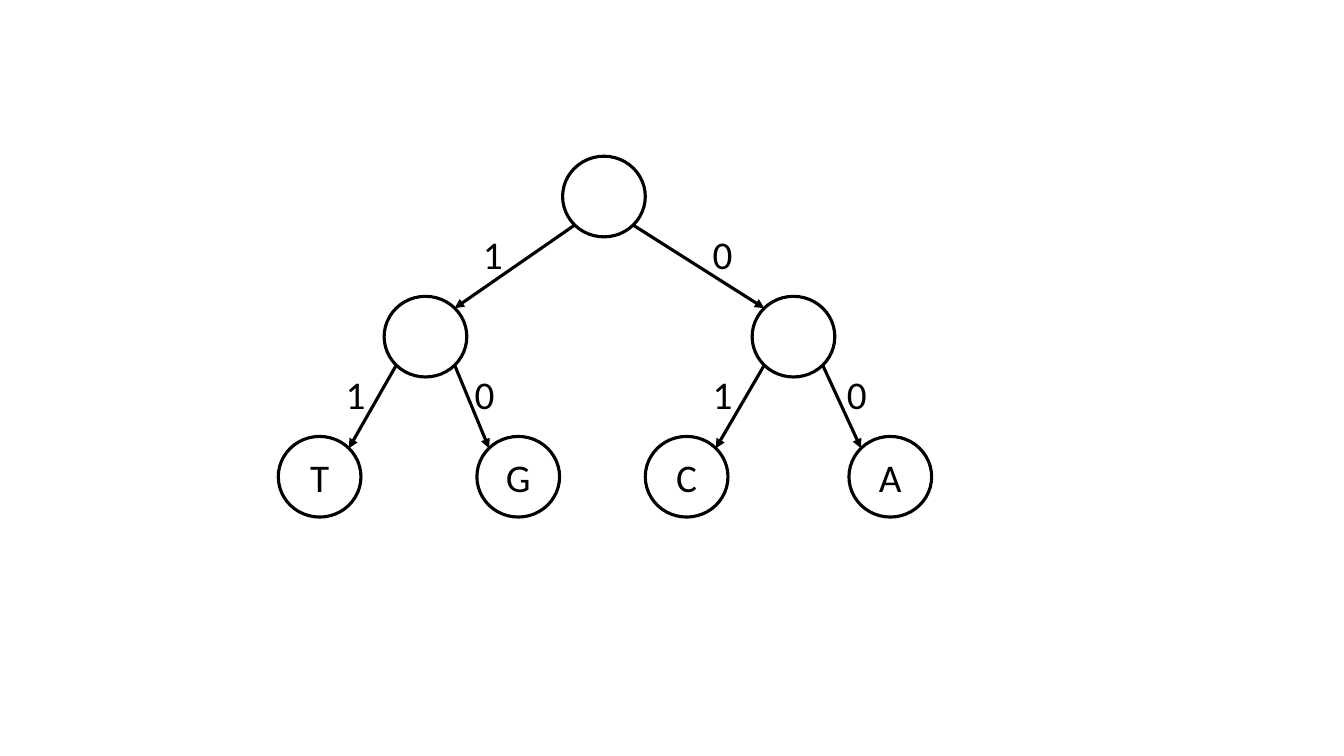
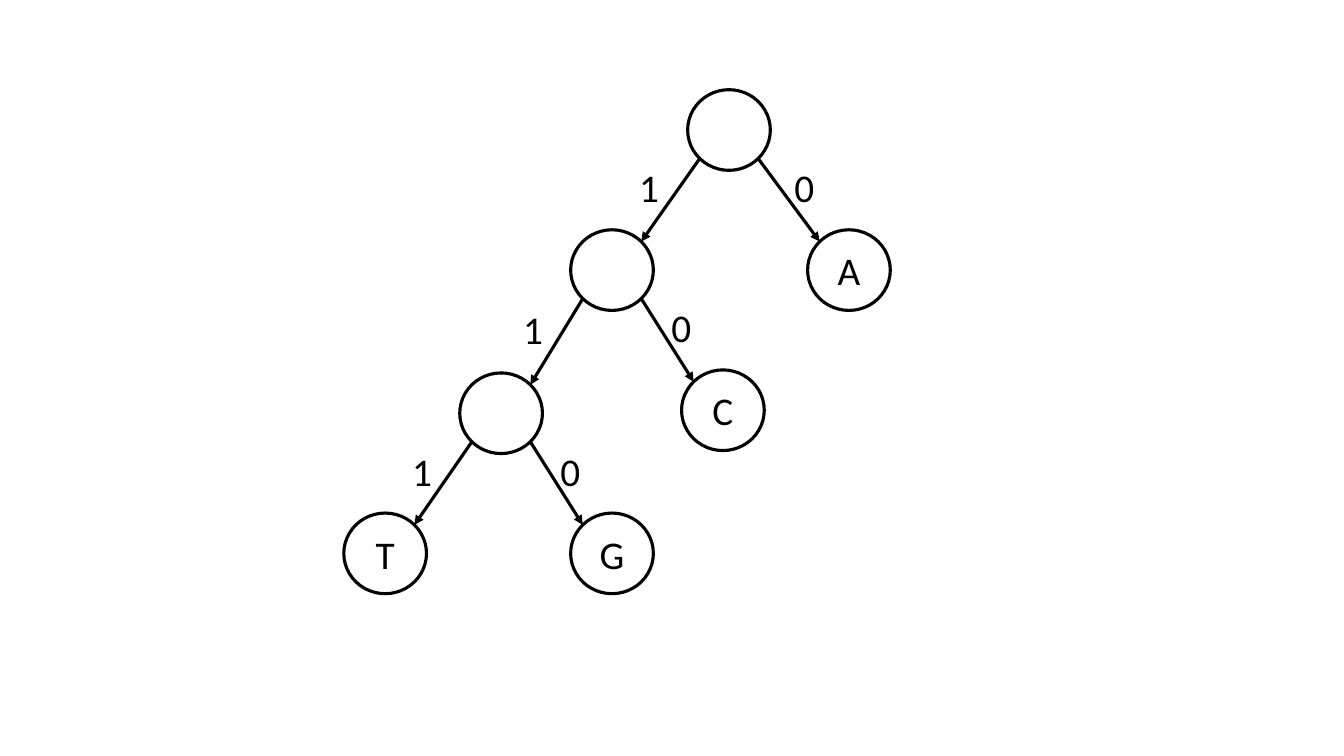
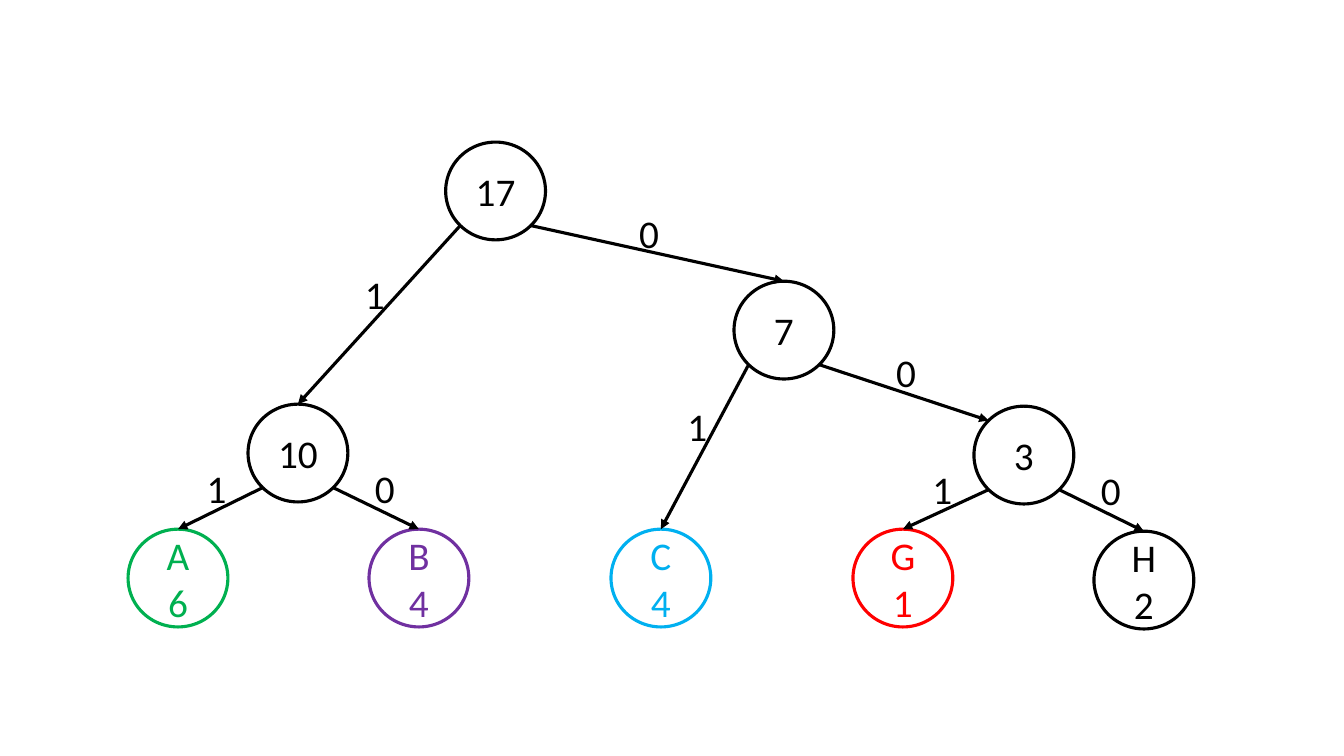
import math

from lxml import etree
from pptx import Presentation
from pptx import util as u
from pptx.dml.color import RGBColor
from pptx.enum import shapes, text
from pptx.oxml.ns import qn

PX = 9144  # EMU per px, 100 px to the inch
COLOURS = {"ink": "000000", "green": "00B050", "purple": "7030A0",
           "blue": "00B0F0", "red": "FF0000"}
FONT = {"name": "Calibri", "size": u.Pt(28)}
LINE_WIDTH = u.Pt(2.25)
LABEL_SIZE = (35, 57)
LEFT, CENTRE = text.PP_ALIGN.LEFT, text.PP_ALIGN.CENTER

# Nodes: key -> (text, left, top, colour)
# Branches: (parent, child, bit, label left, where the arrow enters the child)
TREES = [
    {
        "node_size": (82, 80), "label_lift": 41, "one_align": LEFT,
        "nodes": {
            "root": ("", 558, 155, "ink"),
            "TG": ("", 381, 294, "ink"),
            "CA": ("", 746, 294, "ink"),
            "T": ("T", 276, 433, "ink"),
            "G": ("G", 473, 433, "ink"),
            "C": ("C", 640, 433, "ink"),
            "A": ("A", 842, 433, "ink"),
        },
        "branches": [
            ("root", "TG", "1", 469, "corner"),
            ("root", "CA", "0", 697, "corner"),
            ("TG", "T", "1", 333, "corner"),
            ("TG", "G", "0", 461, "corner"),
            ("CA", "C", "1", 697, "corner"),
            ("CA", "A", "0", 830, "corner"),
        ],
    },
    {
        "node_size": (82, 80), "label_lift": 41, "one_align": LEFT,
        "nodes": {
            "root": ("", 682, 89, "ink"),
            "TGC": ("", 566, 228, "ink"),
            "A": ("A", 801, 228, "ink"),
            "TG": ("", 456, 370, "ink"),
            "C": ("C", 676, 367, "ink"),
            "T": ("T", 341, 509, "ink"),
            "G": ("G", 566, 509, "ink"),
        },
        "branches": [
            ("root", "TGC", "1", 624, "corner"),
            ("root", "A", "0", 778, "corner"),
            ("TGC", "TG", "1", 509, "corner"),
            ("TGC", "C", "0", 656, "corner"),
            ("TG", "T", "1", 399, "corner"),
            ("TG", "G", "0", 546, "corner"),
        ],
    },
    {
        "node_size": (99, 97), "label_lift": 49, "one_align": CENTRE,
        "nodes": {
            "root": ("17", 442, 141, "ink"),
            "AB": ("10", 246, 401, "ink"),
            "CGH": ("7", 728, 279, "ink"),
            "GH": ("3", 966, 403, "ink"),
            "A": ("A\n6", 127, 525, "green"),
            "B": ("B\n4", 366, 525, "purple"),
            "C": ("C\n4", 606, 525, "blue"),
            "G": ("G\n1", 846, 525, "red"),
            "H": ("H\n2", 1085, 527, "ink"),
        },
        "branches": [
            ("root", "AB", "1", 352, "top"),
            ("root", "CGH", "0", 624, "top"),
            ("AB", "A", "1", 195, "top"),
            ("AB", "B", "0", 362, "top"),
            ("CGH", "C", "1", 672, "top"),
            ("CGH", "GH", "0", 879, "corner"),
            ("GH", "G", "1", 915, "top"),
            ("GH", "H", "0", 1082, "top"),
        ],
    },
]


def emu(*lengths):
    return [round(length * PX) for length in lengths]


def rgb(colour):
    return RGBColor.from_string(COLOURS[colour])


def write(frame, words, align, colour="ink"):
    frame.word_wrap = True
    frame.text = words
    for paragraph in frame.paragraphs:
        paragraph.alignment = align
        for key, value in FONT.items():
            setattr(paragraph.font, key, value)
        paragraph.font.color.rgb = rgb(colour)


def outline(part, colour="ink"):
    part.line.color.rgb = rgb(colour)
    part.line.width = LINE_WIDTH


def add_node(slide, size, words, left, top, colour):
    node = slide.shapes.add_shape(shapes.MSO_SHAPE.OVAL, *emu(left, top, *size))
    node.shadow.inherit = False
    node.fill.background()
    outline(node, colour)
    if words:
        node.text_frame.vertical_anchor = text.MSO_ANCHOR.MIDDLE
        write(node.text_frame, words, CENTRE, colour)


def rim(node, size, across, down):
    """Point on a node's rim; across and down are -1, 0 or 1."""
    _, left, top, _ = node
    width, height = size
    reach = math.hypot(across, down) * 2
    return left + width * (0.5 + across / reach), top + height * (0.5 + down / reach)


def add_arrow(slide, start, end):
    arrow = slide.shapes.add_connector(shapes.MSO_CONNECTOR.STRAIGHT, *emu(*start, *end))
    outline(arrow)
    etree.SubElement(arrow.line._get_or_add_ln(), qn("a:tailEnd"), type="triangle")
    etree.SubElement(arrow._element.spPr, qn("a:effectLst"))


def add_branch(slide, tree, parent, child, bit, label_left, entry):
    nodes, size = tree["nodes"], tree["node_size"]
    side = -1 if bit == "1" else 1
    start = rim(nodes[parent], size, side, 1)
    end = rim(nodes[child], size, -side if entry == "corner" else 0, -1)
    add_arrow(slide, start, end)

    label_top = (start[1] + end[1]) / 2 - tree["label_lift"]
    label = slide.shapes.add_textbox(*emu(label_left, label_top, *LABEL_SIZE))
    write(label.text_frame, bit, tree["one_align"] if bit == "1" else LEFT)


def main():
    deck = Presentation()
    deck.slide_width, deck.slide_height = emu(1333, 750)
    for tree in TREES:
        slide = deck.slides.add_slide(deck.slide_layouts[6])
        for node in tree["nodes"].values():
            add_node(slide, tree["node_size"], *node)
        for branch in tree["branches"]:
            add_branch(slide, tree, *branch)
    deck.save("out.pptx")


if __name__ == "__main__":
    main()
